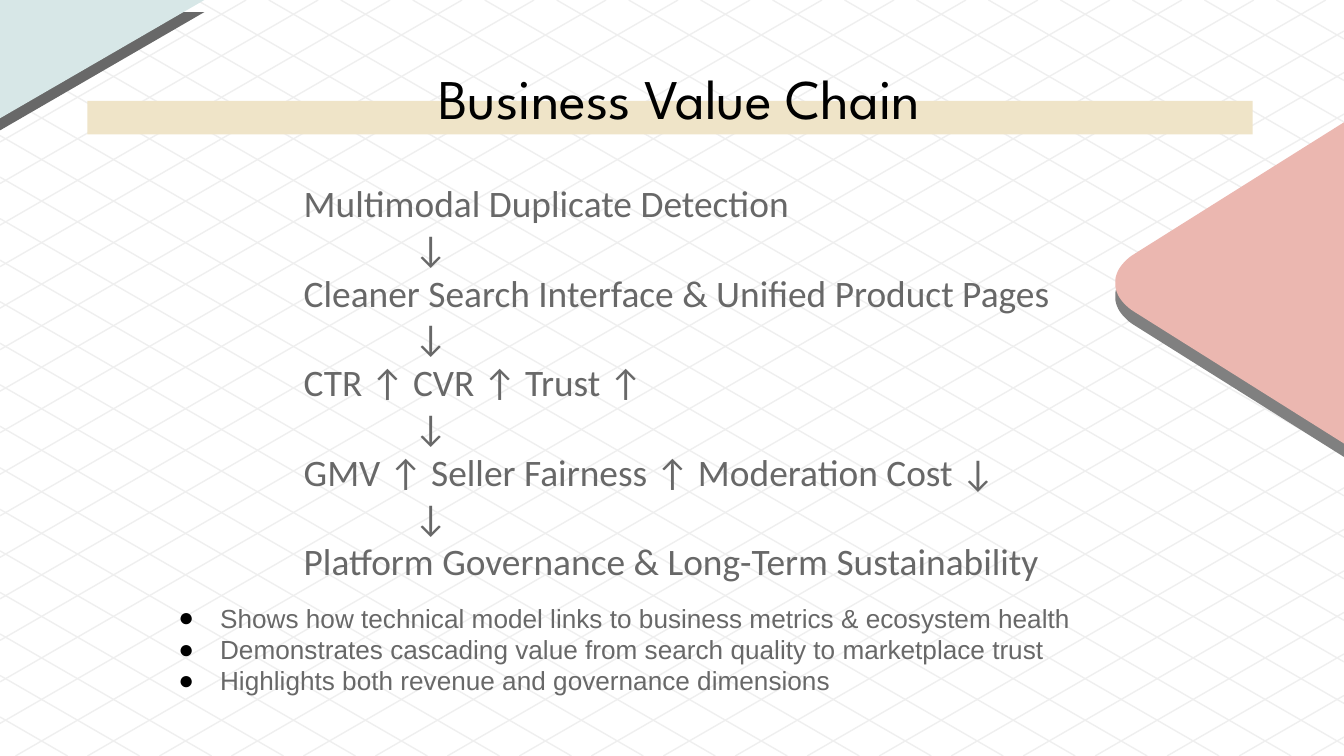
from math import ceil
from lxml import etree
from pptx import Presentation
from pptx import util as u
from pptx.dml.color import RGBColor
from pptx.enum import shapes, text
from pptx.oxml.ns import qn

W = 10
H = W * 9 / 16
THEME = {
    "grid": "EFEFEF", "bar": "EFE4C8", "teal": "D7E7E7", "pink": "EBB7B0",
    "dark": "686868", "shade": "808080", "black": "000000",
    "title": ("League Spartan", 30), "chain": ("Calibri", 20), "notes": ("Arial", 14),
}

TITLE = "Business Value Chain"
CHAIN = [
    "Multimodal Duplicate Detection",
    "Cleaner Search Interface & Unified Product Pages",
    "CTR ↑ CVR ↑ Trust ↑",
    "GMV ↑ Seller Fairness ↑ Moderation Cost ↓",
    "Platform Governance & Long-Term Sustainability",
]
NOTES = [
    "Shows how technical model links to business metrics & ecosystem health",
    "Demonstrates cascading value from search quality to marketplace trust",
    "Highlights both revenue and governance dimensions",
]
SLOPE, STEP = 0.577, 0.309
FALL, RISE = -5.48, 0.13
ARROW_INDENT = 0.82
UNITS = 1000


def color(key):
    return RGBColor.from_string(THEME[key])


def fill(shape, key):
    shape.fill.solid()
    shape.fill.fore_color.rgb = color(key)
    shape.line.fill.background()
    shape.shadow.inherit = False


def add_line(group, start, end):
    line = group.shapes.add_connector(
        shapes.MSO_CONNECTOR.STRAIGHT, *(u.Inches(v) for v in start + end))
    line.line.color.rgb = color("grid")
    line.line.width = u.Pt(0.75)
    etree.SubElement(line.element.spPr, qn("a:effectLst"))


def add_grid(slide):
    group = slide.shapes.add_group_shape()
    for slope, first in ((SLOPE, FALL), (-SLOPE, RISE)):
        last = H - min(0, slope * W)
        for i in range(ceil((last - first) / STEP)):
            base = first + i * STEP
            cuts = sorted((-base / slope, (H - base) / slope))
            left, right = max(0, cuts[0]), min(W, cuts[1])
            add_line(group, (left, base + slope * left), (right, base + slope * right))


def bezier(a, b, c, d, steps=24):
    for i in range(steps + 1):
        t = i / steps
        s = 1 - t
        yield tuple(s**3 * p + 3 * s * s * t * q + 3 * s * t * t * r + t**3 * v
                    for p, q, r, v in zip(a, b, c, d))


def add_corner(slide, points, keys, drop):
    for key, dy in zip(keys, (drop, 0)):
        moved = [(x * UNITS, (y + dy) * UNITS) for x, y in points]
        path = slide.shapes.build_freeform(*moved[0], scale=u.Inches(1) / UNITS)
        path.add_line_segments(moved[1:])
        fill(path.convert_to_shape(), key)


def place(shape, left, top, width, height):
    shape.left, shape.top = u.Inches(left), u.Inches(top)
    shape.width, shape.height = u.Inches(width), u.Inches(height)
    shape.element.getparent().append(shape.element)


def set_frame(frame, inset, anchor):
    frame.word_wrap = True
    frame.auto_size = text.MSO_AUTO_SIZE.NONE
    frame.vertical_anchor = anchor
    frame.margin_left = frame.margin_right = u.Inches(0.1)
    frame.margin_top = frame.margin_bottom = u.Inches(inset)


def write(frame, i, words, style, key, pitch=None, indent=0, hang=0, bullet=None):
    name, size = THEME[style]
    para = frame.paragraphs[0] if i == 0 else frame.add_paragraph()
    para.text = words
    props = para._p.get_or_add_pPr()
    props.set("marL", str(u.Inches(indent)))
    props.set("indent", str(u.Inches(-hang)))
    if bullet:
        tint = etree.SubElement(props, qn("a:buClr"))
        etree.SubElement(tint, qn("a:srgbClr"), val=THEME["black"])
        etree.SubElement(props, qn("a:buFont"), typeface=name)
        etree.SubElement(props, qn("a:buChar"), char=bullet)
    else:
        etree.SubElement(props, qn("a:buNone"))
    para.space_before = u.Pt(0)
    if pitch:
        para.line_spacing = u.Pt(pitch)
    para.font.name, para.font.size = name, u.Pt(size)
    para.font.color.rgb = color(key)
    return para


def main():
    deck = Presentation()
    deck.slide_width, deck.slide_height = u.Inches(W), u.Inches(H)
    slide = deck.slides.add_slide(deck.slide_layouts[1])
    title, body = slide.placeholders

    add_grid(slide)
    bar = slide.shapes.add_shape(
        shapes.MSO_SHAPE.RECTANGLE, *(u.Inches(v) for v in (0.65, 0.75, 8.67, 0.25)))
    fill(bar, "bar")

    place(title, 0.35, 0.41, 9.41, 0.63)
    set_frame(title.text_frame, 0.1, text.MSO_ANCHOR.MIDDLE)
    head = write(title.text_frame, 0, TITLE, "title", "black")
    head.alignment = text.PP_ALIGN.CENTER

    add_corner(slide, [(0, 0), (1.52, 0), (0, 0.88)], ("dark", "teal"), 0.09)
    nose = bezier((8.44, 1.89), (8.25, 2.01), (8.25, 2.2), (8.44, 2.32))
    add_corner(slide, [(W, 0.91), *nose, (W, 3.3)], ("shade", "pink"), 0.1)

    place(body, 2.16, 1.24, 7.83, 3.8)
    frame = body.text_frame
    set_frame(frame, 0.1, text.MSO_ANCHOR.TOP)
    for i, words in enumerate(CHAIN):
        if i:
            write(frame, 2 * i - 1, "↓", "chain", "dark", 24, ARROW_INDENT)
        write(frame, 2 * i, words, "chain", "dark", 24)

    notes = slide.shapes.add_textbox(0, 0, 0, 0)
    place(notes, 1.23, 4.43, 7.66, 1.04)
    set_frame(notes.text_frame, 0.05, text.MSO_ANCHOR.TOP)
    for i, words in enumerate(NOTES):
        write(notes.text_frame, i, words, "notes", "dark", 16.8, 0.31, 0.31, "●")

    deck.save("out.pptx")


if __name__ == "__main__":
    main()
